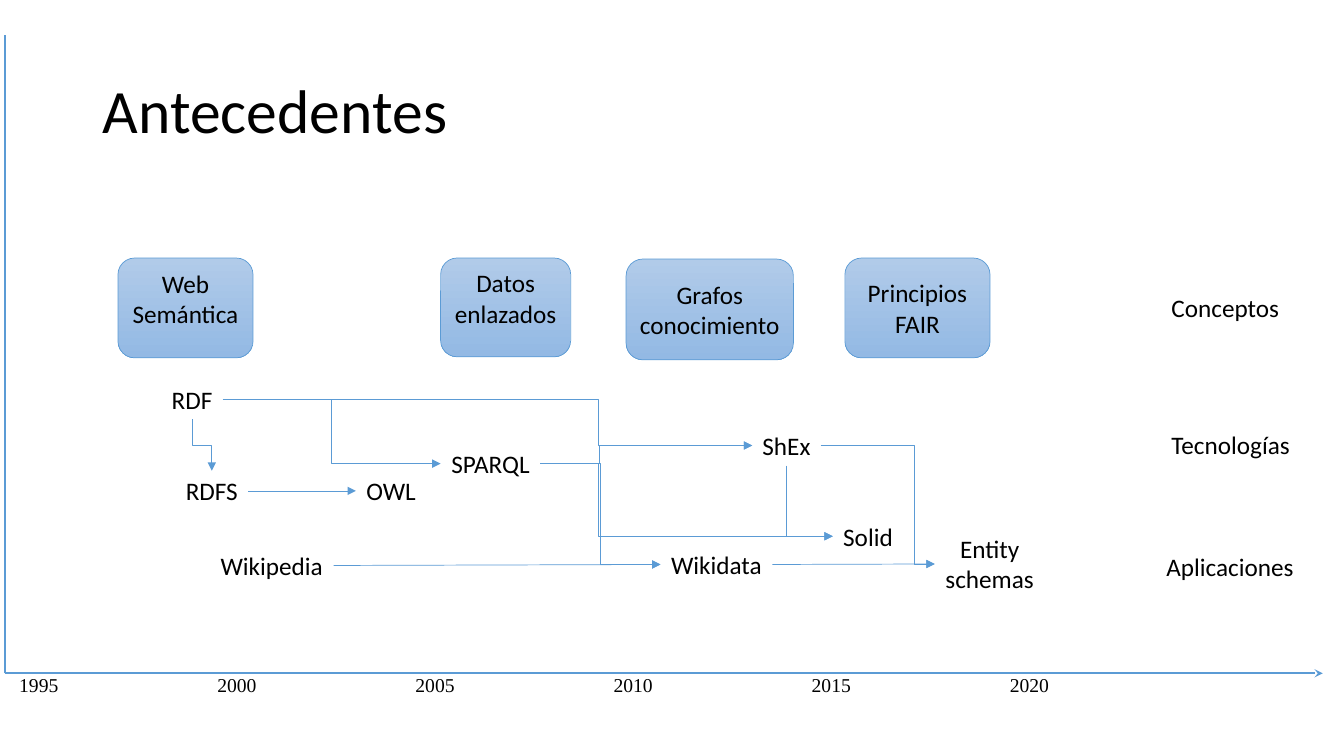
"""Build the slide "Antecedentes": a timeline of concepts, technologies and applications."""
import dataclasses
import typing

import lxml.etree
import pptx
import pptx.dml.color
import pptx.enum.shapes
import pptx.enum.text
import pptx.oxml.ns
import pptx.shapes.autoshape
import pptx.shapes.connector
import pptx.slide
import pptx.text.text
import pptx.util

Inches = pptx.util.Inches
Align = pptx.enum.text.PP_ALIGN
Anchor = pptx.enum.text.MSO_ANCHOR
Connectors = pptx.enum.shapes.MSO_CONNECTOR
TOP, LEFT, BOTTOM, RIGHT = range(4)


@dataclasses.dataclass(frozen=True)
class Theme:
    font: str = "Calibri"
    year_font: str = "Times New Roman"
    ink: str = "000000"
    line: str = "5B9BD5"
    gradient: tuple[str, str] = ("B1CBE9", "93B9E4")
    title_size: float = 44
    body_size: float = 18
    year_size: float = 14
    axis_width: float = 1.5
    link_width: float = 0.5


@dataclasses.dataclass(frozen=True)
class Concept:
    text: str
    left: float
    top: float
    width: float
    height: float
    anchor: Anchor = Anchor.MIDDLE


@dataclasses.dataclass(frozen=True)
class Label:
    text: str
    left: float
    top: float
    width: float
    height: float = 0.4
    align: Align = Align.CENTER


@dataclasses.dataclass(frozen=True)
class Link:
    start: str
    end: str
    geometry: str = "line"
    bend: float = 0.5
    start_side: int = RIGHT
    end_side: int = LEFT


THEME = Theme()
YEARS = ("1995", "2000", "2005", "2010", "2015", "2020")
CONCEPTS = (
    Concept("Web\nSemántica", 1.17, 2.56, 1.34, 0.99, Anchor.TOP),
    Concept("Datos\nenlazados", 4.37, 2.56, 1.29, 0.98, Anchor.TOP),
    Concept("Grafos\nconocimiento", 6.21, 2.57, 1.66, 1),
    Concept("Principios\nFAIR", 8.38, 2.56, 1.44, 0.99),
)
LABELS = (
    Label("RDF", 1.6, 3.76, 0.61),
    Label("RDFS", 1.74, 4.67, 0.72),
    Label("OWL", 3.53, 4.67, 0.7),
    Label("SPARQL", 4.37, 4.4, 0.99),
    Label("ShEx", 7.46, 4.22, 0.68),
    Label("Solid", 8.26, 5.12, 0.7),
    Label("Wikipedia", 2.08, 5.41, 1.23),
    Label("Wikidata", 6.55, 5.4, 1.11),
    Label("Entity\nschemas", 9.27, 5.24, 1.09, 0.71),
    Label("Conceptos", 11.52, 2.85, 1.28, align=Align.LEFT),
    Label("Tecnologías", 11.52, 4.21, 1.39, align=Align.LEFT),
    Label("Aplicaciones", 11.47, 5.42, 1.48, align=Align.LEFT),
)
LINKS = (
    Link("ShEx", "Entity\nschemas", "bentConnector3", 0.82),
    Link("Wikidata", "Entity\nschemas"),
    Link("SPARQL", "Wikidata", "bentConnector3"),
    Link("SPARQL", "ShEx", "bentConnector3", 0.28),
    Link("RDF", "RDFS", "bentConnector3", start_side=BOTTOM, end_side=TOP),
    Link("RDF", "ShEx", "bentConnector3", 0.71),
    Link("RDFS", "OWL"),
    Link("Wikipedia", "Wikidata"),
    Link("RDF", "SPARQL", "bentConnector3"),
    Link("SPARQL", "Solid", "bentConnector3", 0.2),
    Link("ShEx", "Solid", "bentConnector2", start_side=BOTTOM),
)


def color(value: str) -> pptx.dml.color.RGBColor:
    return pptx.dml.color.RGBColor.from_string(value)


def write(frame: pptx.text.text.TextFrame, text: str, *, size: float = THEME.body_size,
          font: str = THEME.font, align: Align = Align.CENTER,
          anchor: Anchor = Anchor.TOP, wrap: bool = False) -> None:
    frame.word_wrap = wrap
    frame.vertical_anchor = anchor
    frame.text = text
    for para in frame.paragraphs:
        para.alignment = align
        for span in para.runs:
            span.font.name = font
            span.font.size = pptx.util.Pt(size)
            span.font.color.rgb = color(THEME.ink)


def style_line(connector: pptx.shapes.connector.Connector, width: float,
               arrow: typing.Optional[str] = None) -> None:
    connector.line.color.rgb = color(THEME.line)
    connector.line.width = pptx.util.Pt(width)
    properties = connector._element.spPr
    if arrow:
        outline = properties.find(pptx.oxml.ns.qn("a:ln"))
        lxml.etree.SubElement(outline, pptx.oxml.ns.qn("a:tailEnd"), type=arrow)
    lxml.etree.SubElement(properties, pptx.oxml.ns.qn("a:effectLst"))


def add_title(page: pptx.slide.Slide) -> None:
    title = page.shapes.title
    title.left, title.top, title.width, title.height = map(Inches, (0.92, 0.4, 11.5, 1.45))
    write(title.text_frame, "Antecedentes", size=THEME.title_size, align=Align.LEFT,
          anchor=Anchor.MIDDLE, wrap=True)
    title.text_frame.paragraphs[0].line_spacing = 0.9


def add_timeline(page: pptx.slide.Slide) -> None:
    table = page.shapes.add_table(1, len(YEARS), Inches(0.09), Inches(6.65),
                                  Inches(11.79), Inches(0.41)).table
    table.first_row = table.horz_banding = False
    for cell, year in zip(table.rows[0].cells, YEARS):
        cell.fill.background()
        write(cell.text_frame, year, size=THEME.year_size, font=THEME.year_font,
              align=Align.LEFT, wrap=True)
    for end_x, end_y, arrow in ((0.05, 0.35, None), (13.12, 6.68, "stealth")):
        axis = page.shapes.add_connector(Connectors.STRAIGHT, Inches(0.05), Inches(6.68),
                                         Inches(end_x), Inches(end_y))
        style_line(axis, THEME.axis_width, arrow)


def add_concept(page: pptx.slide.Slide, concept: Concept) -> None:
    box = page.shapes.add_shape(
        pptx.enum.shapes.MSO_SHAPE.ROUNDED_RECTANGLE, Inches(concept.left),
        Inches(concept.top), Inches(concept.width), Inches(concept.height))
    box.shadow.inherit = False
    box.fill.gradient()
    box.fill.gradient_angle = 270
    for stop, shade in zip(box.fill.gradient_stops, THEME.gradient):
        stop.color.rgb = color(shade)
    box.line.color.rgb = color(THEME.line)
    box.line.width = pptx.util.Pt(THEME.link_width)
    write(box.text_frame, concept.text, anchor=concept.anchor)


def add_label(page: pptx.slide.Slide, label: Label) -> pptx.shapes.autoshape.Shape:
    box = page.shapes.add_textbox(Inches(label.left), Inches(label.top),
                                  Inches(label.width), Inches(label.height))
    write(box.text_frame, label.text, align=label.align)
    box.text_frame.auto_size = pptx.enum.text.MSO_AUTO_SIZE.SHAPE_TO_FIT_TEXT
    return box


def turn_downwards(connector: pptx.shapes.connector.Connector) -> None:
    width, height = connector.width, connector.height
    connector.left += (width - height) // 2
    connector.top += (height - width) // 2
    connector.width, connector.height = height, width
    frame = connector._element.spPr.find(pptx.oxml.ns.qn("a:xfrm"))
    frame.set("rot", "16200000")
    frame.set("flipH", "1")


def add_link(page: pptx.slide.Slide, link: Link,
             boxes: dict[str, pptx.shapes.autoshape.Shape]) -> None:
    kind = Connectors.STRAIGHT if link.geometry == "line" else Connectors.ELBOW
    connector = page.shapes.add_connector(kind, 0, 0, 0, 0)
    connector.begin_connect(boxes[link.start], link.start_side)
    connector.end_connect(boxes[link.end], link.end_side)
    geometry = connector._element.spPr.find(pptx.oxml.ns.qn("a:prstGeom"))
    geometry.set("prst", link.geometry)
    if link.geometry == "bentConnector3":
        lxml.etree.SubElement(geometry.find(pptx.oxml.ns.qn("a:avLst")),
                              pptx.oxml.ns.qn("a:gd"), name="adj1",
                              fmla=f"val {round(link.bend * 100000)}")
    if link.start_side == BOTTOM:
        turn_downwards(connector)
    style_line(connector, THEME.link_width, "triangle")


def main() -> None:
    deck = pptx.Presentation()
    deck.slide_width, deck.slide_height = Inches(13.33), Inches(7.5)
    page = deck.slides.add_slide(deck.slide_layouts.get_by_name("Title Only"))
    add_title(page)
    add_timeline(page)
    for concept in CONCEPTS:
        add_concept(page, concept)
    boxes = {label.text: add_label(page, label) for label in LABELS}
    for link in LINKS:
        add_link(page, link, boxes)
    deck.save("out.pptx")


if __name__ == "__main__":
    main()
